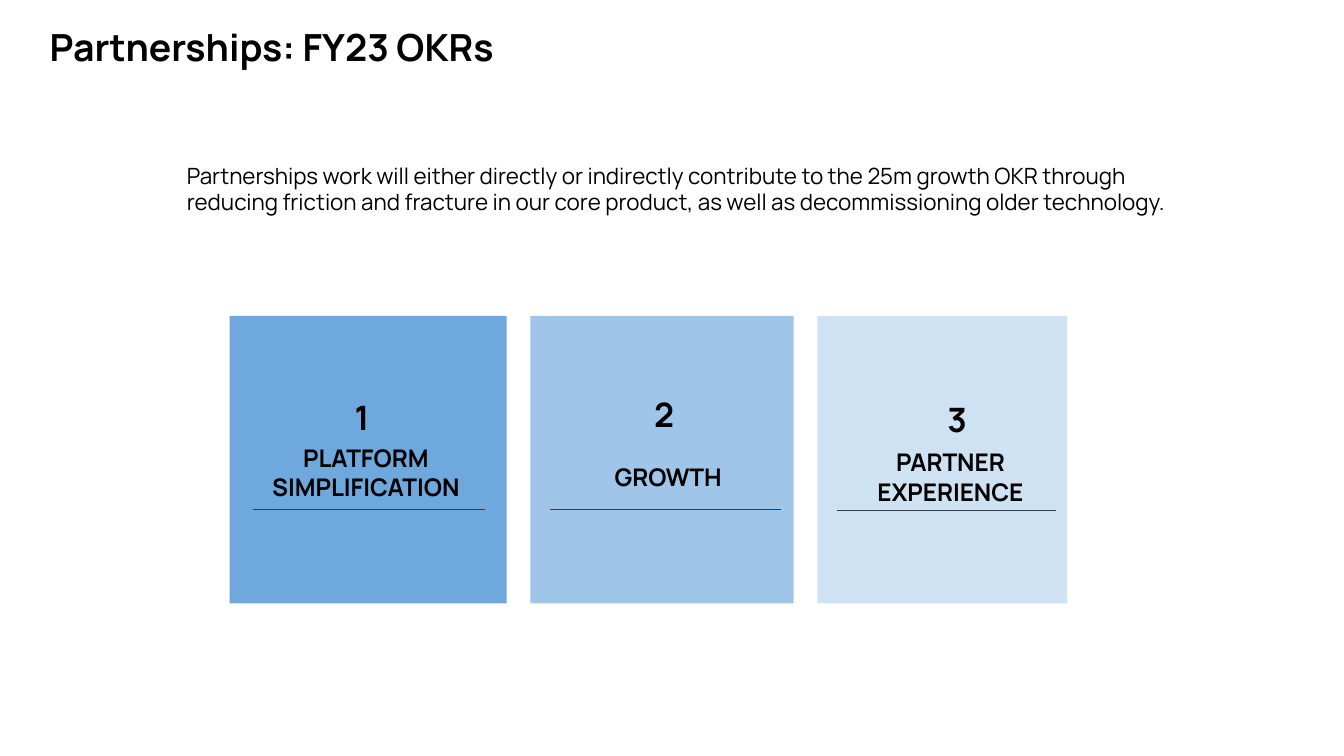
"""Build the Partnerships OKR slide with three numbered objective cards."""
from dataclasses import dataclass

from lxml import etree
from pptx import Presentation
from pptx import util as u
from pptx.dml import color as c
from pptx.enum import shapes, text
from pptx.oxml import ns


@dataclass(frozen=True)
class Theme:
    font: str = "Manrope"
    ink: str = "000000"
    rule: str = "3A3C3E"
    cards: tuple = ("6FA8DC", "9FC5E8", "CFE2F3")
    title: float = 20
    number: float = 18
    label: float = 13
    body: float = 12


THEME = Theme()
CARD_LEFT, CARD_TOP, CARD_HEIGHT, CARD_GAP = 123.12, 169.2, 154.08, 12.7
FIRST_WIDTH, WIDTH_STEP = 148.32, 7.2
OBJECTIVES = (
    {"label": "PLATFORM SIMPLIFICATION", "label_box": (135.4, 230.4, 121, 46),
     "number_box": (182.9, 205.2, 31.7, 36), "rule": (135.4, 259.9, 272.9)},
    {"label": "GROWTH", "label_box": (297.4, 240.5, 121, 30.2),
     "number_box": (343.4, 203.8, 31.7, 36), "rule": (294.5, 418.3, 272.9)},
    {"label": "PARTNER\vEXPERIENCE", "label_box": (448.6, 232.6, 121, 46),
     "number_box": (500.4, 206.6, 39.6, 36), "rule": (448.6, 565.9, 273.6)},
)


def apply(target, values):
    for name, value in values.items():
        setattr(target, name, value)


def write(shape, content, size, bold=True, inset=7.2, auto=text.MSO_AUTO_SIZE.NONE, **layout):
    frame = shape.text_frame
    margins = {f"margin_{side}": u.Pt(inset) for side in ("left", "top", "right", "bottom")}
    apply(frame, {**margins, "word_wrap": True, "auto_size": auto,
                  "vertical_anchor": text.MSO_ANCHOR.TOP})
    paragraph = frame.paragraphs[0]
    paragraph.text = content
    apply(paragraph, {"alignment": text.PP_ALIGN.LEFT, "space_before": u.Pt(0), **layout})
    for run in paragraph.runs:
        apply(run.font, {"name": THEME.font, "size": u.Pt(size), "bold": bold})
        run.font.color.rgb = c.RGBColor.from_string(THEME.ink)
    return paragraph


def place(shape, box):
    apply(shape, dict(zip(("left", "top", "width", "height"), map(u.Pt, box))))


def add_text(slide, box, content, size, **layout):
    shape = slide.shapes.add_textbox(*map(u.Pt, box))
    write(shape, content, size, auto=text.MSO_AUTO_SIZE.SHAPE_TO_FIT_TEXT, **layout)


def add_card(slide, box, fill):
    shape = slide.shapes.add_shape(shapes.MSO_SHAPE.RECTANGLE, *map(u.Pt, box))
    shape.shadow.inherit = False
    shape.fill.solid()
    shape.fill.fore_color.rgb = c.RGBColor.from_string(fill)
    shape.line.fill.background()


def add_rule(slide, start, end, height):
    points = map(u.Pt, (start, height, end, height))
    connector = slide.shapes.add_connector(shapes.MSO_CONNECTOR.STRAIGHT, *points)
    connector.line.width = u.Pt(0.75)
    connector.line.color.rgb = c.RGBColor.from_string(THEME.rule)
    etree.SubElement(connector._element.spPr, ns.qn("a:effectLst"))


def add_objectives(slide):
    left = CARD_LEFT
    for index, (objective, fill) in enumerate(zip(OBJECTIVES, THEME.cards)):
        width = FIRST_WIDTH - index * WIDTH_STEP
        add_card(slide, (left, CARD_TOP, width, CARD_HEIGHT), fill)
        add_text(slide, objective["label_box"], objective["label"], THEME.label,
                 alignment=text.PP_ALIGN.CENTER)
        add_rule(slide, *objective["rule"])
        add_text(slide, objective["number_box"], str(index + 1), THEME.number)
        left += width + CARD_GAP


def fill_title(slide):
    title = slide.shapes.title
    place(title, (26.64, 15.84, 617, 46.8))
    write(title, "Partnerships: FY23 OKRs", THEME.title, inset=0, line_spacing=0.9)


def fill_body(slide):
    body = slide.placeholders[1]
    place(body, (80.64, 80.64, 568.8, 72.72))
    paragraph = write(
        body,
        "Partnerships work will either directly or indirectly contribute to the 25m growth "
        "OKR through reducing friction and fracture in our core product, as well as "
        "decommissioning older technology.",
        THEME.body, bold=False, line_spacing=0.97)
    properties = paragraph._p.get_or_add_pPr()
    properties.set("marL", str(u.Pt(12.24)))
    properties.set("indent", "0")
    etree.SubElement(properties, ns.qn("a:buNone"))


def main():
    presentation = Presentation()
    apply(presentation, {"slide_width": u.Pt(720), "slide_height": u.Pt(405)})
    slide = presentation.slides.add_slide(presentation.slide_layouts[1])
    fill_title(slide)
    add_objectives(slide)
    fill_body(slide)
    presentation.save("out.pptx")


if __name__ == "__main__":
    main()
